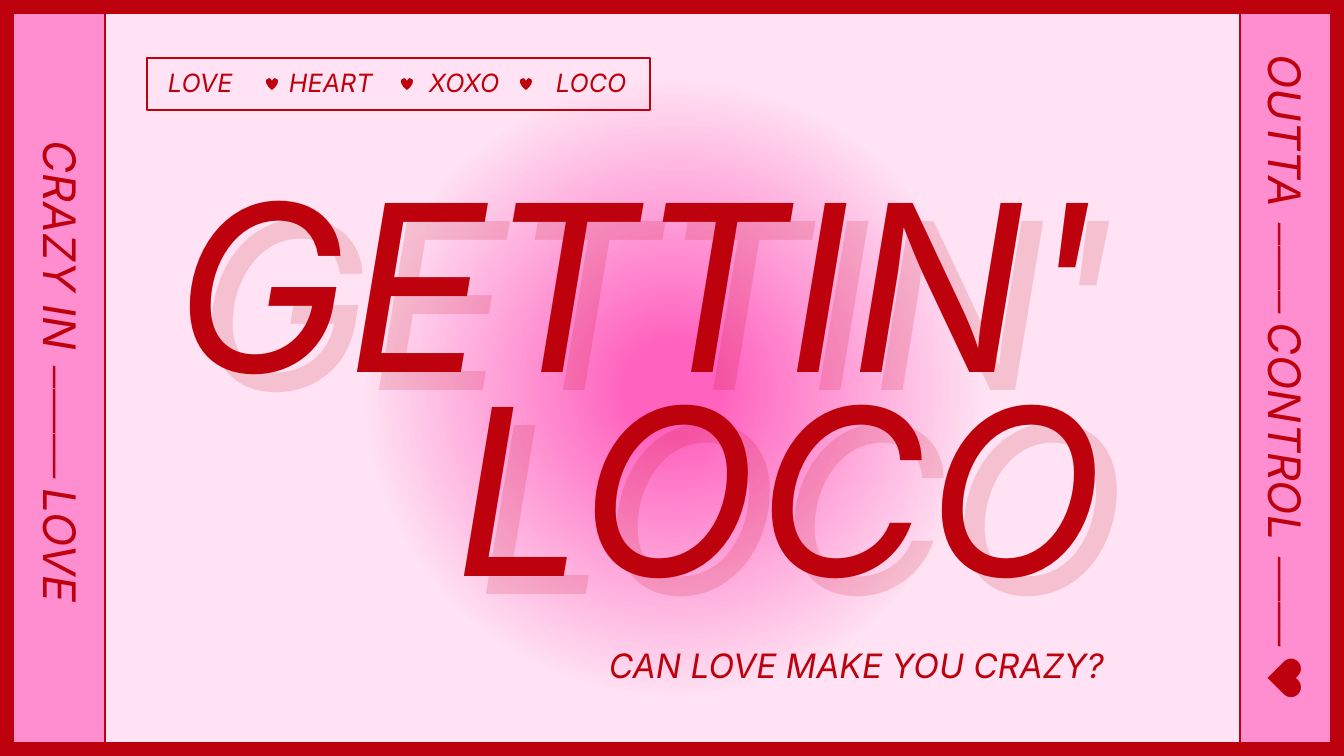
from pptx import Presentation
from pptx.dml.color import RGBColor
from pptx.enum.shapes import MSO_CONNECTOR, MSO_SHAPE
from pptx.enum.text import MSO_ANCHOR, PP_ALIGN
from pptx.oxml import parse_xml
from pptx.oxml.ns import nsdecls, qn
from pptx.oxml.xmlchemy import OxmlElement
from pptx.util import Pt

EMU_PER_PX = 12192000 / 1344
WIDTH, HEIGHT = 1344, 756
RED, PINK, BLUSH = "BD020D", "FF3CAF", "FFE2F3"


def px(length):
    """Turn pixels into EMU."""
    return round(length * EMU_PER_PX)


def paint(fill, color, opacity=100):
    """Fill with a hex colour at a percentage of opacity."""
    fill.solid()
    fill.fore_color.rgb = RGBColor.from_string(color)
    if opacity < 100:
        alpha = OxmlElement("a:alpha")
        alpha.set("val", str(opacity * 1000))
        fill._xPr.find(qn("a:solidFill")).find(qn("a:srgbClr")).append(alpha)


def add_panel(slide, kind, box, color=None, opacity=100, border=None):
    """Add a preset shape with an optional fill and red border."""
    shape = slide.shapes.add_shape(kind, *map(px, box))
    shape.shadow.inherit = False
    if color:
        paint(shape.fill, color, opacity)
    else:
        shape.fill.background()
    if border:
        paint(shape.line.fill, RED)
        shape.line.width = Pt(border)
    else:
        shape.line.fill.background()
    return shape


def write(shape, texts, size, align, anchor, opacity=100, **margins):
    """Write one paragraph of (text, italic) runs into a shape."""
    frame = shape.text_frame
    settings = {"word_wrap": True, "vertical_anchor": anchor, **margins}
    for name, value in settings.items():
        setattr(frame, name, value)
    paragraph = frame.paragraphs[0]
    paragraph.alignment = align
    paragraph.line_spacing = 0.9
    for text, italic in texts:
        run = paragraph.add_run()
        run.text = text
        font_format = {"name": "Inter", "size": Pt(size), "italic": italic}
        for name, value in font_format.items():
            setattr(run.font, name, value)
        paint(run.font.fill, RED, opacity)
    return paragraph


def add_glow(slide, box):
    """Add the round pink glow that fades outwards."""
    glow = add_panel(slide, MSO_SHAPE.OVAL, box, PINK)
    stops = "".join(
        f'<a:gs pos="{position}"><a:srgbClr val="{PINK}">'
        f'<a:alpha val="{alpha}"/></a:srgbClr></a:gs>'
        for position, alpha in ((11000, 75000), (66000, 0))
    )
    gradient = parse_xml(
        f'<a:gradFill {nsdecls("a")}><a:gsLst>{stops}</a:gsLst><a:path path="circle">'
        '<a:fillToRect l="50000" t="50000" r="50000" b="50000"/></a:path></a:gradFill>'
    )
    properties = glow._element.spPr
    properties.replace(properties.find(qn("a:solidFill")), gradient)


def add_rule(slide, x):
    """Add a full-height red rule."""
    rule = slide.shapes.add_connector(MSO_CONNECTOR.STRAIGHT, px(x), 0, px(x), px(HEIGHT))
    paint(rule.line.fill, RED)
    rule.line.width = Pt(1.25)
    rule._element.spPr.append(OxmlElement("a:effectLst"))


def add_strip_text(slide, box, length, texts):
    """Add text that runs down the middle of a side strip."""
    left, top, width, height = box
    thickness = 64
    place = (left + (width - length) / 2, top + (height - thickness) / 2, length, thickness)
    label = slide.shapes.add_textbox(*map(px, place))
    label.rotation = 90
    write(label, texts, 32, PP_ALIGN.CENTER, MSO_ANCHOR.MIDDLE)


def add_headline(slide, box):
    """Add the two headline words, each over a faint offset echo."""
    left, top, width, height = box
    drop = 18
    words = (
        ("GETTIN'", 13, drop, PP_ALIGN.RIGHT, 15),
        ("LOCO", 22, 204 + drop, PP_ALIGN.RIGHT, 15),
        ("GETTIN'", 0, 0, PP_ALIGN.CENTER, 100),
        ("LOCO", 0, 204, PP_ALIGN.RIGHT, 100),
    )
    for word, right, down, align, opacity in words:
        place = (left + right, top + down, width, height)
        textbox = slide.shapes.add_textbox(*map(px, place))
        write(textbox, [(word, True)], 166, align, MSO_ANCHOR.BOTTOM, opacity)


def add_tagline(slide, box):
    """Add the question below the headline."""
    textbox = slide.shapes.add_textbox(*map(px, box))
    write(textbox, [("CAN LOVE MAKE YOU CRAZY?", True)], 24, PP_ALIGN.RIGHT, MSO_ANCHOR.TOP)


def add_tag_bar(slide, box):
    """Add the outlined bar of words with hearts between them."""
    left, top, width, height = box
    bar = add_panel(slide, MSO_SHAPE.RECTANGLE, box, border=1.25)
    words = "\t".join(("LOVE", "HEART", "XOXO", "LOCO"))
    paragraph = write(bar, [(words, True)], 18, PP_ALIGN.LEFT, MSO_ANCHOR.MIDDLE,
                      margin_left=px(21), margin_right=0)
    tabs = OxmlElement("a:tabLst")
    for position in (121, 261, 388):
        tab = OxmlElement("a:tab")
        tab.set("pos", str(px(position)))
        tab.set("algn", "l")
        tabs.append(tab)
    paragraph._p.get_or_add_pPr().append(tabs)
    for offset in (119, 254, 373):
        add_panel(slide, MSO_SHAPE.HEART, (left + offset, top + 20, 12, 12), RED)


def build_slide(slide):
    """Lay out the whole slide."""
    paint(slide.background.fill, BLUSH)
    left_strip, right_strip = (12, 0, 92, HEIGHT), (1240, 0, 92, HEIGHT)
    add_glow(slide, (344, 59, 657, 657))
    for strip in (left_strip, right_strip):
        add_panel(slide, MSO_SHAPE.RECTANGLE, strip, PINK, 50)
    for x in (105, 1240):
        add_rule(slide, x)
    add_panel(slide, MSO_SHAPE.RECTANGLE, (0, 0, WIDTH, HEIGHT), border=20)
    add_headline(slide, (156, 164, 958, 264))
    add_tagline(slide, (156, 644, 958, 46))
    add_tag_bar(slide, (147, 58, 503, 52))
    add_strip_text(slide, left_strip, 503, [("CRAZY IN ⎯⎯⎯⎯⎯ LOVE ", True)])
    add_strip_text(slide, (1237, 0, 92, HEIGHT), 737,
                   [("OUTTA ⎯⎯⎯⎯ CONTROL ⎯⎯⎯⎯ ", True), ("♥", False)])


def main():
    """Create and save the presentation."""
    presentation = Presentation()
    presentation.slide_width, presentation.slide_height = px(WIDTH), px(HEIGHT)
    build_slide(presentation.slides.add_slide(presentation.slide_layouts[6]))
    presentation.save("out.pptx")


if __name__ == "__main__":
    main()
